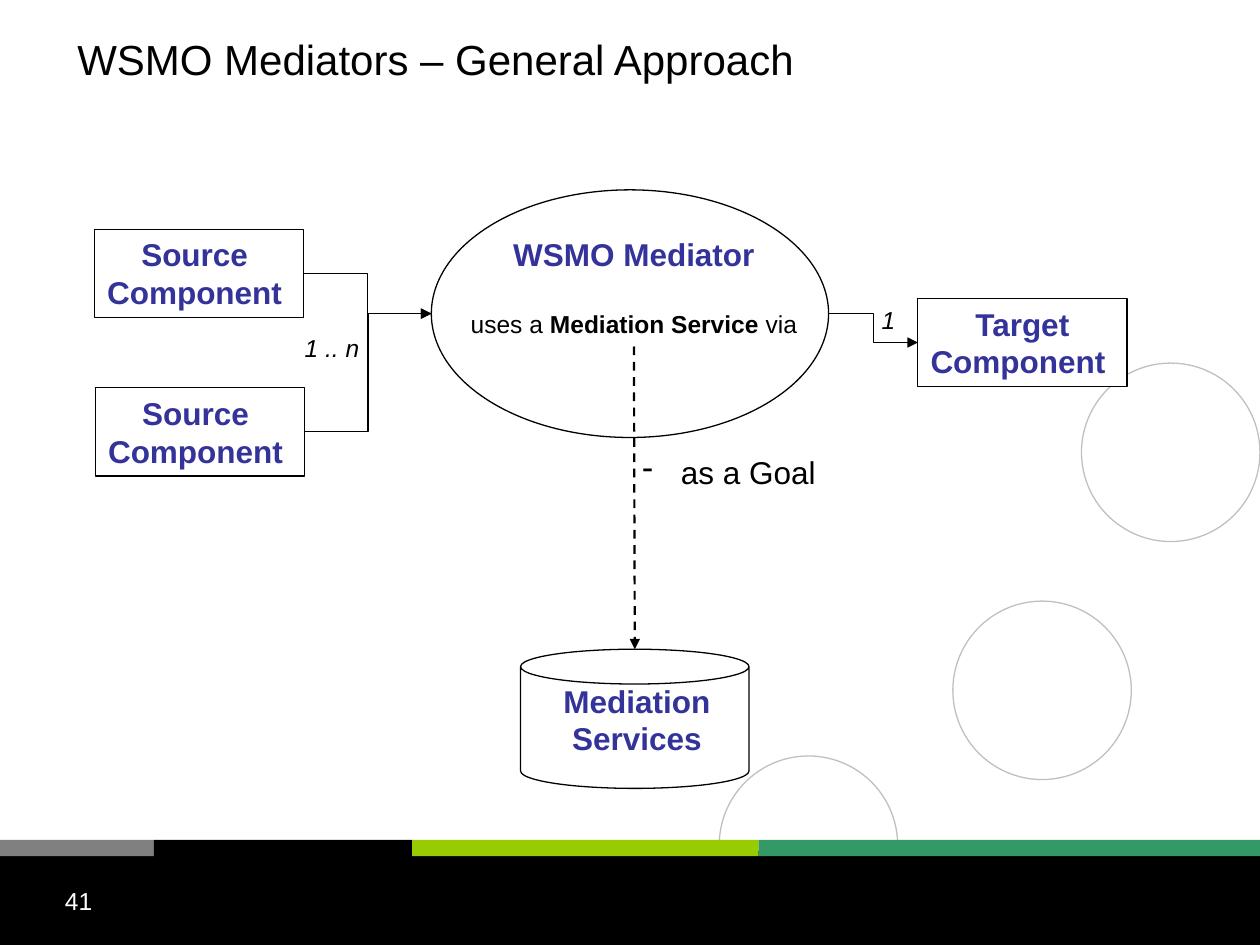
import pptx
import pptx.dml.color
import pptx.enum.dml
import pptx.enum.shapes
import pptx.enum.text
import pptx.oxml
import pptx.oxml.ns
import pptx.util

Pt = pptx.util.Pt
SHAPE = pptx.enum.shapes.MSO_SHAPE
CONNECTOR = pptx.enum.shapes.MSO_CONNECTOR
ALIGN = pptx.enum.text.PP_ALIGN
ANCHOR = pptx.enum.text.MSO_ANCHOR

BLACK, WHITE, GRAY, CIRCLE = "000000", "FFFFFF", "808080", "C0C0C0"
BLUE, LIME, GREEN = "333399", "99CC00", "339966"


def rgb(value):
    return pptx.dml.color.RGBColor.from_string(value)


def add_xml(parent, xml):
    """Append an element, given as XML in the a: namespace, to parent."""
    head, rest = xml.split(" ", 1)
    declared = f"{head} {pptx.oxml.ns.nsdecls('a')} {rest}"
    parent.append(pptx.oxml.parse_xml(declared))


class Drawing:
    font = "Arial"
    line_width = 0.75

    def __init__(self, slide):
        self.slide = slide

    def format_runs(self, p, size, color, bold=False, italic=False):
        for r in p.runs:
            r.font.name = self.font
            r.font.size = Pt(size)
            r.font.color.rgb = rgb(color)
            r.font.bold = bold
            r.font.italic = italic

    def title(self, text, left, top, width, height):
        sp = self.slide.shapes.title
        sp.left, sp.top, sp.width, sp.height = map(Pt, (left, top, width, height))
        tf = sp.text_frame
        tf.text = text
        tf.vertical_anchor = ANCHOR.MIDDLE
        tf.paragraphs[0].alignment = ALIGN.LEFT
        self.format_runs(tf.paragraphs[0], 24, BLACK)

    def shape(self, kind, left, top, width, height, fill=None, line=None):
        sp = self.slide.shapes.add_shape(kind, *map(Pt, (left, top, width, height)))
        sp.shadow.inherit = False
        if fill:
            sp.fill.solid()
            sp.fill.fore_color.rgb = rgb(fill)
        else:
            sp.fill.background()
        if line:
            sp.line.color.rgb = rgb(line)
            sp.line.width = Pt(self.line_width)
        else:
            sp.line.fill.background()
        return sp

    def set_text(self, sp, text, size, color, align=ALIGN.CENTER, **style):
        tf = sp.text_frame
        tf.word_wrap = False
        tf.vertical_anchor = ANCHOR.TOP
        tf.text = text
        for p in tf.paragraphs:
            p.alignment = align
            self.format_runs(p, size, color, **style)
        return tf

    def label(self, text, left, top, width, height, size, color, **style):
        sp = self.slide.shapes.add_textbox(*map(Pt, (left, top, width, height)))
        return self.set_text(sp, text, size, color, **style)

    def component(self, text, left, top):
        sp = self.shape(SHAPE.RECTANGLE, left, top, 119.5, 50.5, WHITE, BLACK)
        self.set_text(sp, text, 18, BLUE, bold=True)
        return sp

    def arrow(self, kind, start, end, width=line_width, dashed=False):
        cx = self.slide.shapes.add_connector(kind, *map(Pt, start + end))
        cx.line.color.rgb = rgb(BLACK)
        cx.line.width = Pt(width)
        if dashed:
            cx.line.dash_style = pptx.enum.dml.MSO_LINE.DASH
        add_xml(cx.line._get_or_add_ln(), '<a:tailEnd type="triangle" />')
        add_xml(cx._element.spPr, "<a:effectLst />")
        return cx


def add_background(d):
    for left, top in ((411, 432), (544.5, 343.5), (618, 207.5)):
        d.shape(SHAPE.OVAL, left, top, 102, 102, line=CIRCLE)
    d.shape(SHAPE.RECTANGLE, 0, 486, 720, 54, BLACK)
    edges = (0, 88, 235.5, 433.5, 720)
    for left, right, color in zip(edges, edges[1:], (GRAY, BLACK, LIME, GREEN)):
        d.shape(SHAPE.RECTANGLE, left, 480, right - left, 9.3, color)
    d.label("41", 30, 502.5, 168, 37.5, 14, WHITE, align=ALIGN.LEFT)


def add_mediator(d):
    d.shape(SHAPE.OVAL, 246.5, 108.5, 227, 141.5, WHITE, BLACK)
    tf = d.label("WSMO Mediator", 260, 131, 204.5, 67.5, 18, BLUE, bold=True)
    p = tf.add_paragraph()
    p.alignment = ALIGN.CENTER
    p.space_before = Pt(20.5)
    for text in ("uses a ", "Mediation Service ", "via "):
        p.add_run().text = text
    d.format_runs(p, 14, BLACK)
    p.runs[1].font.bold = True


def add_components(d):
    mediator_left, mediator_right = (246.5, 179.25), (473.5, 179.25)
    for left, top in ((54, 131), (54.5, 221.5)):
        source = d.component("Source \nComponent ", left, top)
        cx = d.arrow(CONNECTOR.ELBOW, (left + 119.5, top + 25.25), mediator_left)
        cx.begin_connect(source, 3)
    target = d.component("Target\nComponent ", 524.5, 170.5)
    cx = d.arrow(CONNECTOR.ELBOW, mediator_right, (524.5, 195.75))
    cx.end_connect(target, 1)
    d.label("1 .. n", 167, 186.5, 45.5, 24.5, 14, BLACK, italic=True)
    d.label("1", 496.5, 170.5, 22.5, 24.5, 14, BLACK, italic=True)


def add_services(d):
    d.shape(SHAPE.CAN, 297.5, 371, 130.5, 79.5, WHITE, BLACK)
    d.label("Mediation \nServices", 312.5, 386, 103, 50.5, 18, BLUE, bold=True)
    d.arrow(CONNECTOR.STRAIGHT, (362.25, 198), (362.75, 371), 1.25, dashed=True)
    tf = d.label(" as a Goal", 360, 255.5, 272, 29, 18, BLACK, align=ALIGN.LEFT)
    tf.word_wrap = True
    pPr = tf.paragraphs[0]._p.get_or_add_pPr()
    pPr.set("marL", str(Pt(17)))
    pPr.set("indent", str(-Pt(17)))
    add_xml(pPr, '<a:buChar char="-" />')


def main():
    prs = pptx.Presentation()
    prs.slide_width, prs.slide_height = Pt(720), Pt(540)
    d = Drawing(prs.slides.add_slide(prs.slide_layouts[5]))
    add_background(d)
    add_mediator(d)
    add_components(d)
    add_services(d)
    d.title("WSMO Mediators – General Approach", 37, 0, 564, 66.5)
    prs.save("out.pptx")


if __name__ == "__main__":
    main()
